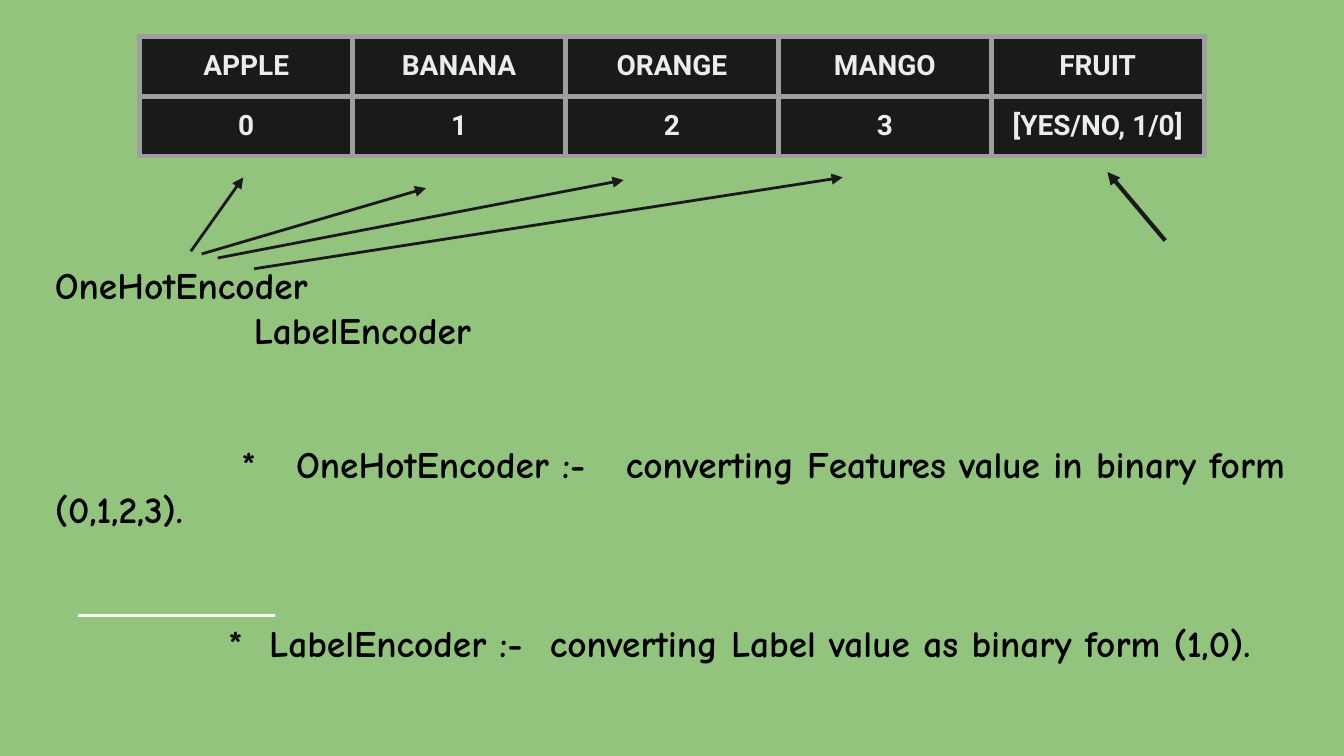
from pptx import Presentation
from pptx.dml.color import RGBColor
from pptx.enum.shapes import MSO_CONNECTOR, MSO_SHAPE
from pptx.enum.text import PP_ALIGN
from pptx.oxml.ns import qn
from pptx.util import Inches, Pt
from lxml.etree import SubElement, fromstring

GREEN = RGBColor(0x93, 0xC4, 0x7D)
DARK = RGBColor(0x1A, 0x1A, 0x1A)
GREY = RGBColor(0x9E, 0x9E, 0x9E)
PALE = RGBColor(0xE9, 0xED, 0xEE)
BLACK = RGBColor(0, 0, 0)
WHITE = RGBColor(0xFF, 0xFF, 0xFF)


def write(para, text, font, size, color, align=PP_ALIGN.LEFT,
          before=0, indent=0, gap=0):
    """Fill a paragraph; each | in text becomes a space widened by gap points."""
    para.alignment = align
    para.space_before = Pt(before)
    props = para._p.get_or_add_pPr()
    props.set("marL", "0")
    props.set("indent", str(Inches(indent)))
    for piece in text.replace("|", "| |").split("|"):
        run = para.add_run()
        run.text = piece
        run.font.name, run.font.size, run.font.bold = font, Pt(size), True
        run.font.color.rgb = color
        if piece == " ":
            run._r.get_or_add_rPr().set("spc", str(round(gap * 100)))


def border(cell, color, width):
    props = cell._tc.get_or_add_tcPr()
    for place, side in enumerate(("lnL", "lnR", "lnT", "lnB")):
        props.insert(place, fromstring(
            '<a:%s xmlns:a="http://schemas.openxmlformats.org/drawingml/2006/main" w="%d">'
            '<a:solidFill><a:srgbClr val="%s"/></a:solidFill></a:%s>'
            % (side, Pt(width), color, side)))


deck = Presentation()
deck.slide_width, deck.slide_height = Inches(10), Inches(10 * 9 / 16)
slide = deck.slides.add_slide(deck.slide_layouts[6])
slide.background.fill.solid()
slide.background.fill.fore_color.rgb = GREEN

# White rule of two overlapping bars
for left in (0.98, 0.58):
    bar = slide.shapes.add_shape(MSO_SHAPE.RECTANGLE, Inches(left), Inches(4.57),
                                 Inches(1.07), Inches(0.02))
    bar.shadow.inherit = False
    bar.fill.solid()
    bar.fill.fore_color.rgb = WHITE
    bar.line.fill.background()

# Fruit table
rows = [["APPLE", "BANANA", "ORANGE", "MANGO", "FRUIT"],
        ["0", "1", "2", "3", "[YES/NO, 1/0]"]]
table = slide.shapes.add_table(2, 5, Inches(1.04), Inches(0.27),
                               Inches(7.92), Inches(0.84)).table
for r, row in enumerate(rows):
    for c, text in enumerate(row):
        cell = table.cell(r, c)
        cell.margin_left = cell.margin_right = Inches(0.1)
        cell.margin_top = cell.margin_bottom = Inches(0.1)
        cell.fill.solid()
        cell.fill.fore_color.rgb = DARK
        border(cell, GREY, 3)
        write(cell.text_frame.paragraphs[0], text, "Roboto", 15, PALE,
              align=PP_ALIGN.CENTER)

# Encoder notes: text, space before, first-line indent, extra gap
notes = [
    ("OneHotEncoder", 0, 0, 0),
    ("LabelEncoder", 0, 1.48, 0),
    ("*|OneHotEncoder :-|converting Features value in binary form (0,1,2,3).",
     48, 1.39, 14.4),
    ("*|LabelEncoder :-|converting Label value as binary form (1,0).",
     48, 1.29, 7.2),
]
box = slide.shapes.add_textbox(Inches(0.31), Inches(1.85), Inches(9.38), Inches(3.22))
frame = box.text_frame
frame.word_wrap = True
frame.margin_left = frame.margin_right = Inches(0.1)
frame.margin_top = frame.margin_bottom = Inches(0.1)
for i, (text, before, indent, gap) in enumerate(notes):
    para = frame.add_paragraph() if i else frame.paragraphs[0]
    write(para, text, "Comic Neue", 20, BLACK, before=before, indent=indent, gap=gap)

# Arrows from each encoder to its columns
arrows = [
    (1.42, 1.87, 1.81, 1.32, 1.5),
    (1.5, 1.89, 3.17, 1.4, 1.5),
    (1.62, 1.92, 4.64, 1.34, 1.5),
    (1.89, 2, 6.27, 1.32, 1.5),
    (8.67, 1.79, 8.24, 1.28, 2.25),
]
for *ends, width in arrows:
    arrow = slide.shapes.add_connector(MSO_CONNECTOR.STRAIGHT, *map(Inches, ends))
    arrow.line.color.rgb = DARK
    arrow.line.width = Pt(width)
    SubElement(arrow.line._get_or_add_ln(), qn("a:tailEnd"), type="triangle")
    SubElement(arrow._element.spPr, qn("a:effectLst"))

deck.save("out.pptx")
